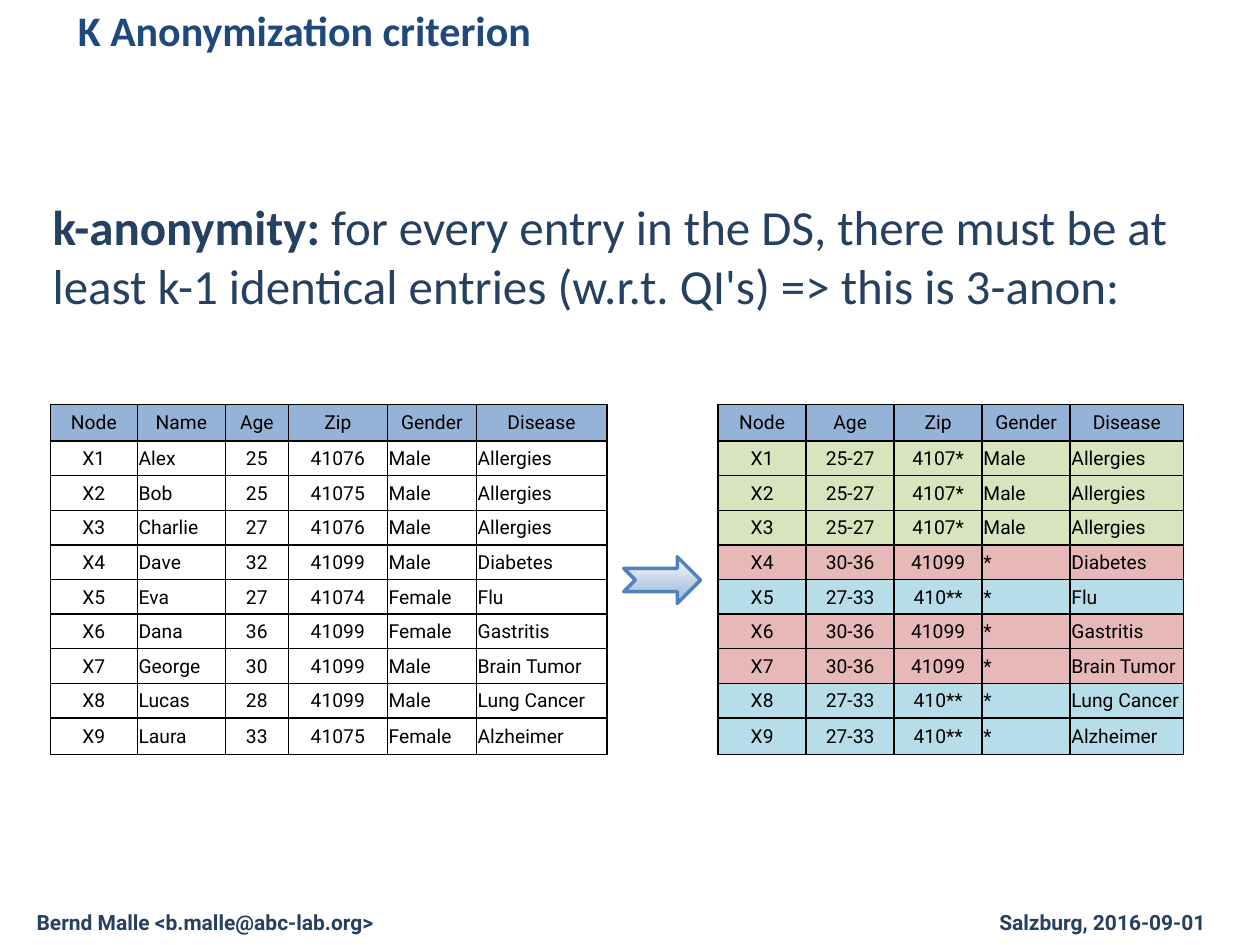
"""Build the slide that explains k-anonymity with a table before and after."""
from lxml.etree import SubElement as Sub
from pptx import Presentation
from pptx.dml.color import RGBColor as RGB
from pptx.enum.shapes import MSO_SHAPE as Form
from pptx.enum.text import MSO_ANCHOR as Anchor, PP_ALIGN as Align
from pptx.oxml.ns import qn
from pptx.util import Pt

BLACK = RGB(0x00, 0x00, 0x00)
NAVY = RGB(0x25, 0x40, 0x61)
TITLE = RGB(0x1F, 0x49, 0x7D)
HEAD = RGB(0x95, 0xB3, 0xD7)
GREEN = RGB(0xD7, 0xE4, 0xBD)
RED = RGB(0xE6, 0xB9, 0xB8)
BLUE = RGB(0xB7, 0xDE, 0xE8)
EDGE = RGB(0x4F, 0x81, 0xBD)
PALE = RGB(0xF6, 0xF9, 0xFC)
MID = RGB(0xB0, 0xC6, 0xE1)
SOFT = RGB(0xCA, 0xD9, 0xEB)

PEOPLE = [
    ("Node", "Name", "Age", "Zip", "Gender", "Disease"),
    ("X1", "Alex", "25", "41076", "Male", "Allergies"),
    ("X2", "Bob", "25", "41075", "Male", "Allergies"),
    ("X3", "Charlie", "27", "41076", "Male", "Allergies"),
    ("X4", "Dave", "32", "41099", "Male", "Diabetes"),
    ("X5", "Eva", "27", "41074", "Female", "Flu"),
    ("X6", "Dana", "36", "41099", "Female", "Gastritis"),
    ("X7", "George", "30", "41099", "Male", "Brain Tumor"),
    ("X8", "Lucas", "28", "41099", "Male", "Lung Cancer"),
    ("X9", "Laura", "33", "41075", "Female", "Alzheimer"),
]
GROUPS = {
    GREEN: ("25-27", "4107*", "Male"),
    RED: ("30-36", "41099", "*"),
    BLUE: ("27-33", "410**", "*"),
}
ORDER = [GREEN, GREEN, GREEN, RED, BLUE, RED, RED, BLUE, BLUE]
LEFT = {"Name", "Gender", "Disease"}


def add_run(para, text, font, size, color, bold=False):
    """Add one styled run to a paragraph."""
    run = para.add_run()
    run.text = text
    run.font.name = font
    run.font.size = Pt(size)
    run.font.bold = bold
    run.font.color.rgb = color


def add_text(slide, box, runs, font, size, color, inset=None):
    """Add a text box from (text, bold) runs."""
    frame = slide.shapes.add_textbox(*map(Pt, box)).text_frame
    frame.word_wrap = True
    if inset is not None:
        frame.margin_left = frame.margin_right = Pt(inset)
        frame.margin_top = frame.margin_bottom = Pt(inset)
    for text, bold in runs:
        add_run(frame.paragraphs[0], text, font, size, color, bold)


def add_edges(cell):
    """Draw a thin black border on all sides of a cell."""
    props = cell._tc.get_or_add_tcPr()
    for spot, side in enumerate("LRTB"):
        line = Sub(props, qn(f"a:ln{side}"), w=str(Pt(1)))
        Sub(Sub(line, qn("a:solidFill")), qn("a:srgbClr"), val=str(BLACK))
        props.insert(spot, line)


def fill_cell(cell, text, color, align):
    """Set the text, fill and border of a cell."""
    cell.margin_left = cell.margin_right = cell.margin_top = Pt(0.72)
    cell.margin_bottom = 0
    cell.vertical_anchor = Anchor.MIDDLE
    para = cell.text_frame.paragraphs[0]
    para.alignment = align
    add_run(para, text, "Roboto", 11, BLACK)
    if color is None:
        cell.fill.background()
    else:
        cell.fill.solid()
        cell.fill.fore_color.rgb = color
    add_edges(cell)


def add_grid(slide, left, top, widths, rows, colors):
    """Add a table with one fill colour per row."""
    high = [20.9] + [19.8] * (len(rows) - 2) + [20.9]
    size = (left, top, sum(widths), sum(high))
    grid = slide.shapes.add_table(len(rows), len(widths), *map(Pt, size)).table
    grid.first_row = grid.horz_banding = False
    for col, width in zip(grid.columns, widths):
        col.width = Pt(width)
    for row, height in zip(grid.rows, high):
        row.height = Pt(height)
    for r, (row, color) in enumerate(zip(rows, colors)):
        for c, text in enumerate(row):
            left_set = r > 0 and rows[0][c] in LEFT
            align = Align.LEFT if left_set else Align.CENTER
            fill_cell(grid.cell(r, c), text, color, align)


def add_arrow(slide, box, stops):
    """Add a notched arrow with a gradient running downwards."""
    arrow = slide.shapes.add_shape(Form.NOTCHED_RIGHT_ARROW, *map(Pt, box))
    arrow.shadow.inherit = False
    arrow.line.color.rgb = EDGE
    arrow.line.width = Pt(2)
    arrow.fill.gradient()
    arrow.fill.gradient_angle = 270
    ramp = arrow._element.spPr.find(qn("a:gradFill")).find(qn("a:gsLst"))
    for old in list(ramp):
        ramp.remove(old)
    for pos, color in stops:
        stop = Sub(ramp, qn("a:gs"), pos=str(pos * 1000))
        Sub(stop, qn("a:srgbClr"), val=str(color))


def main():
    """Build and save the slide."""
    deck = Presentation()
    deck.slide_width, deck.slide_height = Pt(720), Pt(540)
    slide = deck.slides.add_slide(deck.slide_layouts[6])

    add_text(slide, (17.3, 516.2, 217.4, 21.6),
             [("Bernd Malle <b.malle@abc-lab.org>", True)],
             "Roboto", 12, NAVY, 3.6)
    add_text(slide, (567.4, 516.2, 137.5, 21.6),
             [("Salzburg, 2016-09-01", True)], "Roboto", 12, NAVY, 3.6)
    add_text(slide, (37.4, -0.7, 577.4, 33.8),
             [("K Anonymization criterion", True)], "Calibri", 24, TITLE)
    add_text(slide, (23, 108.7, 684, 85),
             [("k-anonymity: ", True),
              ("for every entry in the DS, there must be at least k-1 "
               "identical entries (w.r.t. QI's) => this is 3-anon:", False)],
             "Calibri", 28, NAVY)

    head, *people = PEOPLE
    masked = [(head[0], *head[2:])]
    masked += [(who[0], *GROUPS[color], who[-1])
               for who, color in zip(people, ORDER)]
    add_grid(slide, 28.8, 231.1, [49.7, 50.3, 36, 56.6, 50.9, 74.5],
             PEOPLE, [HEAD] + [None] * len(people))
    add_grid(slide, 410.4, 231.1, [50.3] * 4 + [64.8], masked, [HEAD] + ORDER)
    add_arrow(slide, (356.4, 318.2, 43.9, 26.6),
              [(0, PALE), (74, MID), (83, MID), (100, SOFT)])
    deck.save("out.pptx")


if __name__ == "__main__":
    main()
